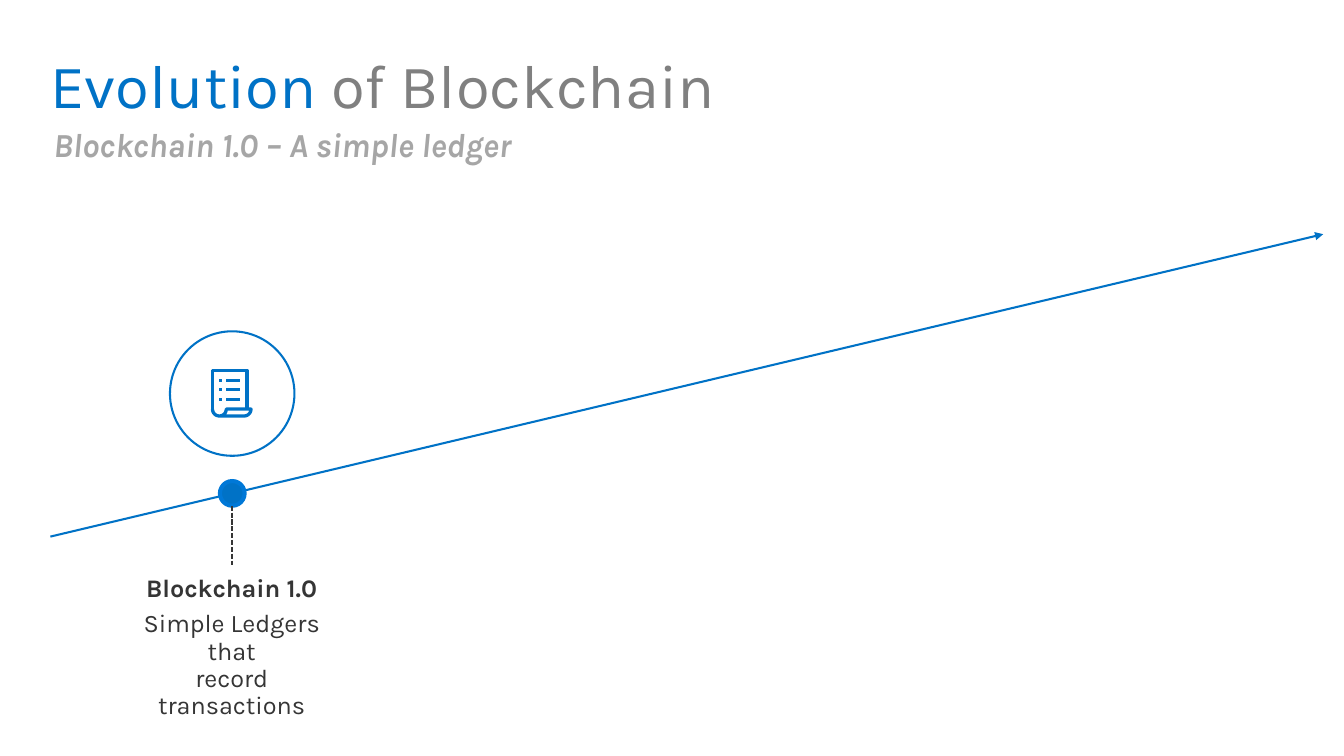
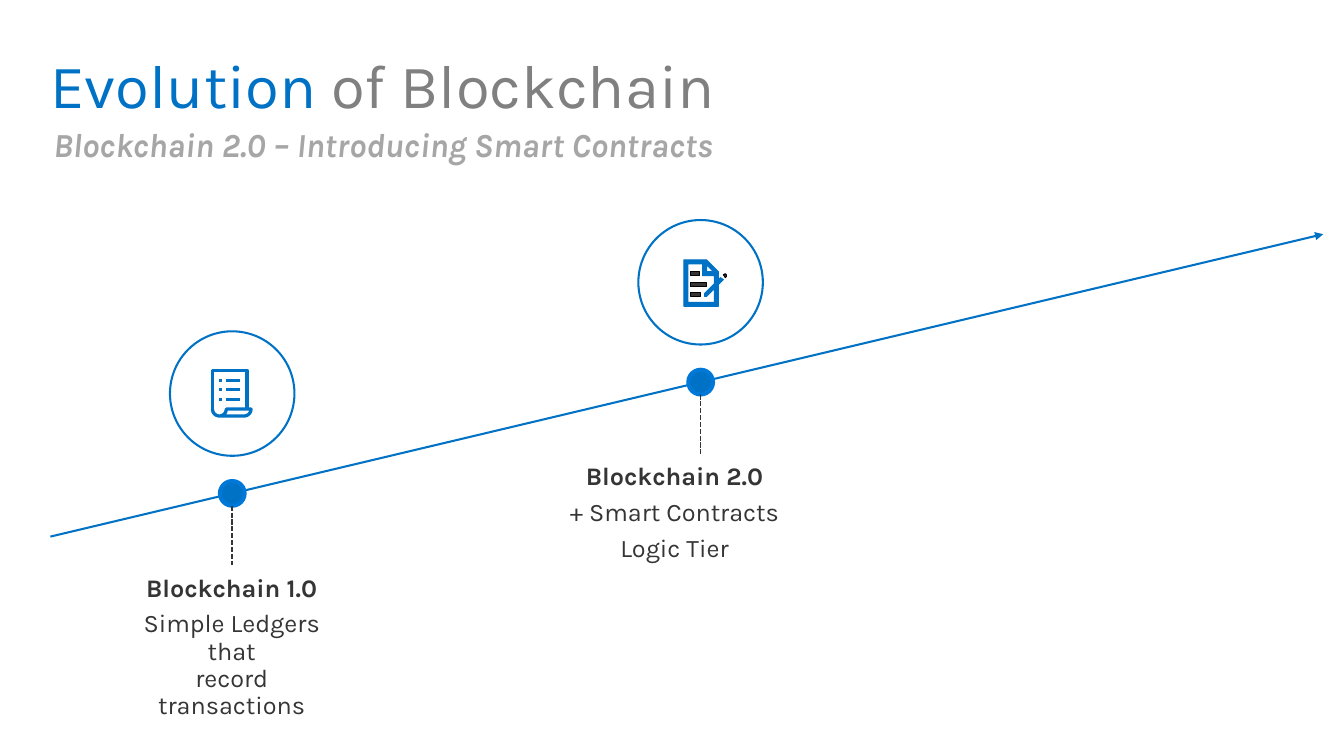
from math import cos, pi, sin
from lxml import etree
from pptx import Presentation
from pptx.dml.color import RGBColor
from pptx.enum import dml, shapes, text
from pptx.oxml import ns
from pptx.util import Inches, Pt

BLUE = RGBColor(0x00, 0x72, 0xC6)
RIM = RGBColor(0x00, 0x78, 0xD7)
GREY = RGBColor(0x80, 0x80, 0x80)
PALE = RGBColor(0xA6, 0xA6, 0xA6)
DARK = RGBColor(0x35, 0x35, 0x35)
BLACK = RGBColor(0, 0, 0)
FONT = "Karla"
OVAL = shapes.MSO_SHAPE.OVAL
RECT = shapes.MSO_SHAPE.RECTANGLE
STRAIGHT = shapes.MSO_CONNECTOR.STRAIGHT


def write(par, words, size, color, bold=False, italic=False, align=text.PP_ALIGN.LEFT, after=0):
    par.alignment = align
    par.line_spacing = 0.9
    par.space_before = Pt(0)
    par.space_after = Pt(after)
    for i, part in enumerate(words.split("\n")):
        if i:
            par.add_line_break()
        run = par.add_run()
        run.text = part
        font = run.font
        font.name, font.size = FONT, Pt(size)
        font.bold, font.italic = bold, italic
        font.color.rgb = color


def paint(item, color, width, fill=None):
    item.line.color.rgb = color
    item.line.width = Pt(width)
    if hasattr(item, "fill"):
        item.shadow.inherit = False
        if fill is None:
            item.fill.background()
        else:
            item.fill.solid()
            item.fill.fore_color.rgb = fill
    else:
        etree.SubElement(item._element.spPr, ns.qn("a:effectLst"))


LEFT, LOW, RIGHT, HIGH = 0.51, 5.43, 13.39, 2.37
SLOPE = (LOW - HIGH) / (RIGHT - LEFT)
DOT, RING = 0.25, 1.26

STOPS = [
    (2.35, 1.01, 2.67, 1.25, 0.35,
     ["Blockchain 1.0", "Simple Ledgers that\nrecord transactions"]),
    (7.09, 5.03, 3.59, 1.36, 0.2,
     ["Blockchain 2.0", "+ Smart Contracts", "Logic Tier"]),
]

bowl = [(2.22 - 0.07 * cos(k * pi / 12), 4.14 + 0.07 * sin(k * pi / 12)) for k in range(13)]
lip = [(2.47 + 0.07 * cos(k * pi / 12), 4.14 + 0.07 * sin(k * pi / 12)) for k in range(7)]
curl = bowl + lip + [(2.22, 4.21)]
sheet = [(2.15, 4.15), (2.15, 3.75), (2.5, 3.75), (2.5, 4.14)]
cap = [(7.32, 2.78), (7.34, 2.81), (7.35, 2.8), (7.35, 2.78), (7.34, 2.77)]
edge = [(7.29, 2.81), (7.27, 2.83), (7.27, 2.75), (7.15, 2.63), (6.92, 2.63), (6.92, 3.1),
        (7.27, 3.1), (7.27, 2.88), (7.32, 2.83)]
fold = [(7.22, 2.75), (7.15, 2.75), (7.15, 2.68)]
inner = [(7.23, 3.06), (6.96, 3.06), (6.96, 2.67), (7.11, 2.67), (7.11, 2.79), (7.23, 2.79),
         (7.23, 2.87), (7.13, 2.97), (7.13, 3), (7.15, 3), (7.23, 2.92)]

ICONS = [
    {"paths": [([curl], False, BLUE, 2.38, None), ([sheet], False, BLUE, 2.38, None)],
     "rules": [(x, y, end) for x, end in ((2.29, 2.43), (2.22, 2.25)) for y in (3.85, 3.94, 4.04)],
     "bars": []},
    {"paths": [([cap], True, BLACK, 0.75, DARK), ([edge, fold, inner], True, BLUE, 0.75, BLUE)],
     "rules": [],
     "bars": [(2.75, 0.09), (2.86, 0.16), (2.96, 0.1)]},
]

deck = Presentation()
deck.slide_width, deck.slide_height = Inches(13.6), Inches(7.65)

for count, tag in enumerate(["Blockchain 1.0 – A simple ledger",
                             "Blockchain 2.0 – Introducing Smart Contracts"], 1):
    slide = deck.slides.add_slide(deck.slide_layouts[1])
    title, sub = slide.placeholders
    for holder, box in ((title, (0.41, 0.32, 12.78, 1.16)), (sub, (0.44, 1.18, 12.78, 0.6))):
        holder.left, holder.top, holder.width, holder.height = map(Inches, box)
        holder.text_frame.vertical_anchor = text.MSO_ANCHOR.MIDDLE
        holder.text_frame.auto_size = text.MSO_AUTO_SIZE.NONE
    head = title.text_frame.paragraphs[0]
    write(head, "Evolution ", 44.9, BLUE)
    write(head, "of Blockchain", 44.9, GREY)
    par = sub.text_frame.paragraphs[0]
    props = par._p.get_or_add_pPr()
    props.set("marL", "0")
    props.set("indent", "0")
    etree.SubElement(props, ns.qn("a:buNone"))
    write(par, tag, 24.5, PALE, bold=True, italic=True)

    axis = slide.shapes.add_connector(STRAIGHT, *map(Inches, (LEFT, LOW, RIGHT, HIGH)))
    paint(axis, BLUE, 1.5)
    etree.SubElement(axis.line._get_or_add_ln(), ns.qn("a:tailEnd"), type="triangle")

    for (x, left, width, height, inset, lines), icon in zip(STOPS[:count], ICONS):
        y = LOW - (x - LEFT) * SLOPE
        dot = slide.shapes.add_shape(
            OVAL, *map(Inches, (x - DOT / 2, y - DOT / 2, DOT, DOT)))
        paint(dot, RIM, 3, BLUE)
        stem = slide.shapes.add_connector(
            STRAIGHT, *map(Inches, (x, y + DOT / 2, x, y + DOT / 2 + 0.6)))
        paint(stem, DARK, 1.25)
        stem.line.dash_style = dml.MSO_LINE.SQUARE_DOT

        label = slide.shapes.add_textbox(*map(Inches, (left, y + 0.67, width, height)))
        frame = label.text_frame
        frame.word_wrap = True
        frame.margin_left = frame.margin_right = Inches(inset)
        frame.margin_top = frame.margin_bottom = Inches(0.16)
        for i, words in enumerate(lines):
            par = frame.add_paragraph() if i else frame.paragraphs[0]
            write(par, words, 18.4, DARK, bold=i == 0, align=text.PP_ALIGN.CENTER, after=6.1)

        group = slide.shapes.add_group_shape().shapes
        ring = group.add_shape(OVAL, *map(Inches, (x - RING / 2, y - 1.64, RING, RING)))
        paint(ring, BLUE, 1.5)
        for top, wide in icon["bars"]:
            bar = group.add_shape(RECT, *map(Inches, (6.99, top, wide, 0.04)))
            paint(bar, BLACK, 0.75, DARK)
        for loops, close, color, weight, fill in icon["paths"]:
            pen = None
            for loop in loops:
                pts = [(Inches(a), Inches(b)) for a, b in loop]
                if pen is None:
                    pen = group.build_freeform(*pts[0])
                else:
                    pen.move_to(*pts[0])
                pen.add_line_segments(pts[1:], close=close)
            paint(pen.convert_to_shape(), color, weight, fill)
        for start, row, end in icon["rules"]:
            rule = group.add_connector(STRAIGHT, *map(Inches, (start, row, end, row)))
            paint(rule, BLUE, 2.38)

deck.save("out.pptx")
